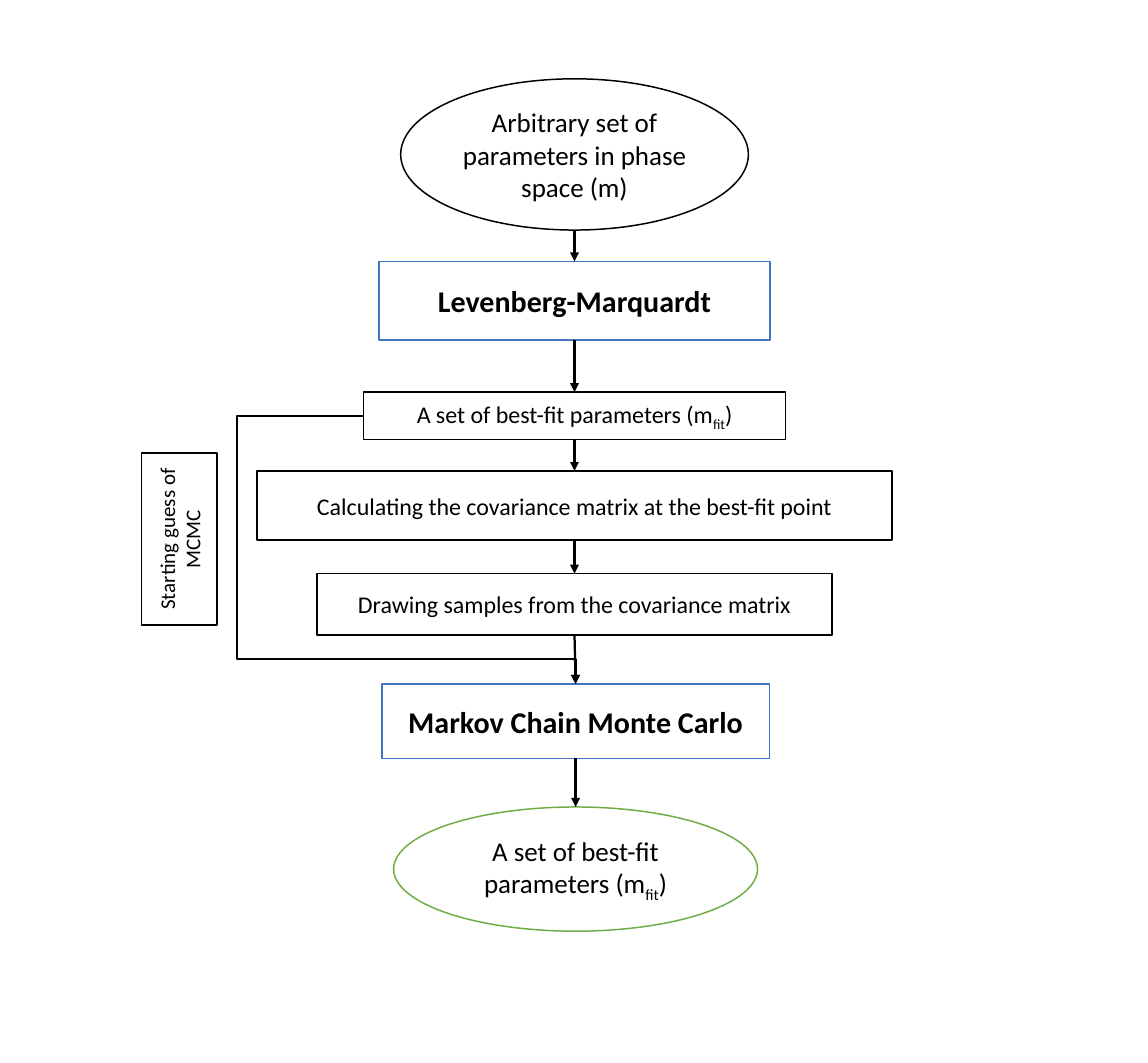
from dataclasses import dataclass
from itertools import pairwise

from lxml.etree import SubElement
from pptx import Presentation
from pptx.dml.color import RGBColor
from pptx.enum.shapes import MSO_CONNECTOR as Connector, MSO_SHAPE as Preset
from pptx.enum.text import MSO_ANCHOR as Anchor, PP_ALIGN as Align
from pptx.oxml.ns import qn
from pptx.shapes.autoshape import Shape
from pptx.shapes.connector import Connector as ConnectorShape
from pptx.slide import Slide
from pptx.util import Inches, Pt

COLORS = {"paper": "FFFFFF", "ink": "000000", "method": "4472C4", "result": "70AD47"}
UPPER_CENTER, LOWER_CENTER = 5.32, 5.33
TOP, LEFT, BOTTOM = 0, 1, 2  # connection sites of a rectangle
BEST_FIT = (("A set of best-fit parameters (m", False), ("fit", True), (")", False))


@dataclass(frozen=True)
class Node:
    """A flowchart node; lengths in inches, runs as (text, is subscript)."""

    runs: tuple[tuple[str, bool], ...]
    center: float
    top: float
    width: float
    height: float
    size: int = 16
    outline: str = "ink"
    preset: Preset = Preset.RECTANGLE
    bold: bool = False
    rotation: int = 0


def plain(text: str) -> tuple[tuple[str, bool], ...]:
    """Wrap a text without subscripts as a single run."""
    return ((text, False),)


FLOW = [
    Node(plain("Arbitrary set of parameters in phase space (m)"),
         UPPER_CENTER, 0.73, 3.22, 1.4, size=18, preset=Preset.OVAL),
    Node(plain("Levenberg-Marquardt"),
         UPPER_CENTER, 2.42, 3.62, 0.73, size=20, outline="method", bold=True),
    Node(BEST_FIT, UPPER_CENTER, 3.63, 3.91, 0.44),
    Node(plain("Calculating the covariance matrix at the best-fit point"),
         UPPER_CENTER, 4.36, 5.88, 0.64),
    Node(plain("Drawing samples from the covariance matrix"),
         UPPER_CENTER, 5.31, 4.77, 0.57),
    Node(plain("Markov Chain Monte Carlo"),
         LOWER_CENTER, 6.33, 3.59, 0.69, size=20, outline="method", bold=True),
    Node(BEST_FIT, LOWER_CENTER, 7.47, 3.37, 1.15, size=18,
         outline="result", preset=Preset.OVAL),
]
SHORTCUT_LABEL = Node(plain("Starting guess of MCMC"), 1.66, 4.64, 1.59, 0.7,
                      size=14, rotation=270)


def rgb(name: str) -> RGBColor:
    """Look up a palette colour."""
    return RGBColor.from_string(COLORS[name])


def apply_format(target: object, values: dict[str, object]) -> None:
    """Set every format value on the target."""
    for name, value in values.items():
        setattr(target, name, value)


def add_node(slide: Slide, node: Node) -> Shape:
    """Draw a node with its centred text."""
    shape = slide.shapes.add_shape(
        node.preset, Inches(node.center - node.width / 2), Inches(node.top),
        Inches(node.width), Inches(node.height))
    shape.shadow.inherit = False
    shape.rotation = node.rotation
    shape.fill.solid()
    shape.fill.fore_color.rgb = rgb("paper")
    shape.line.color.rgb = rgb(node.outline)
    shape.line.width = Pt(1)
    apply_format(shape.text_frame, {"word_wrap": True, "vertical_anchor": Anchor.MIDDLE})
    paragraph = shape.text_frame.paragraphs[0]
    paragraph.alignment = Align.CENTER
    for text, subscript in node.runs:
        run = paragraph.add_run()
        run.text = text
        apply_format(run.font, {"name": "Calibri", "size": Pt(node.size), "bold": node.bold})
        run.font.color.rgb = rgb("ink")
        if subscript:
            run._r.get_or_add_rPr().set("baseline", "-25000")
    return shape


def style_arrow(connector: ConnectorShape) -> None:
    """Give a connector its black line and arrowhead, without a shadow."""
    connector.line.color.rgb = rgb("ink")
    connector.line.width = Pt(1.5)
    SubElement(connector.line._get_or_add_ln(), qn("a:tailEnd"), type="triangle")
    SubElement(connector._element.spPr, qn("a:effectLst"))


def add_arrow(slide: Slide, source: Shape, target: Shape) -> None:
    """Link the bottom of one node to the top of the next."""
    connector = slide.shapes.add_connector(
        Connector.STRAIGHT, source.left + source.width // 2, source.top + source.height,
        target.left + target.width // 2, target.top)
    if source.auto_shape_type == Preset.RECTANGLE:
        connector.begin_connect(source, BOTTOM)
    connector.end_connect(target, TOP)
    style_arrow(connector)


def add_shortcut(slide: Slide, source: Shape, target: Shape) -> None:
    """Link the left of one node to the top of another around the nodes between."""
    connector = slide.shapes.add_connector(Connector.ELBOW, 0, 0, 0, 0)
    connector.begin_connect(source, LEFT)
    connector.end_connect(target, TOP)
    geometry = connector._element.spPr.find(qn("a:prstGeom"))
    geometry.set("prst", "bentConnector4")
    guides = geometry.get_or_add_avLst()
    for name, ratio in (("adj1", -0.595), ("adj2", 0.907)):
        SubElement(guides, qn("a:gd"), name=name, fmla=f"val {round(ratio * 100000)}")
    style_arrow(connector)


def main() -> None:
    """Build the fitting flowchart."""
    presentation = Presentation()
    apply_format(presentation, {"slide_width": Inches(10.63), "slide_height": Inches(9.84)})
    slide = presentation.slides.add_slide(presentation.slide_layouts[6])
    steps = [add_node(slide, node) for node in FLOW]
    add_node(slide, SHORTCUT_LABEL)
    for source, target in pairwise(steps):
        add_arrow(slide, source, target)
    best_fit, markov_chain = steps[2], steps[5]
    add_shortcut(slide, best_fit, markov_chain)
    presentation.save("out.pptx")


main()
